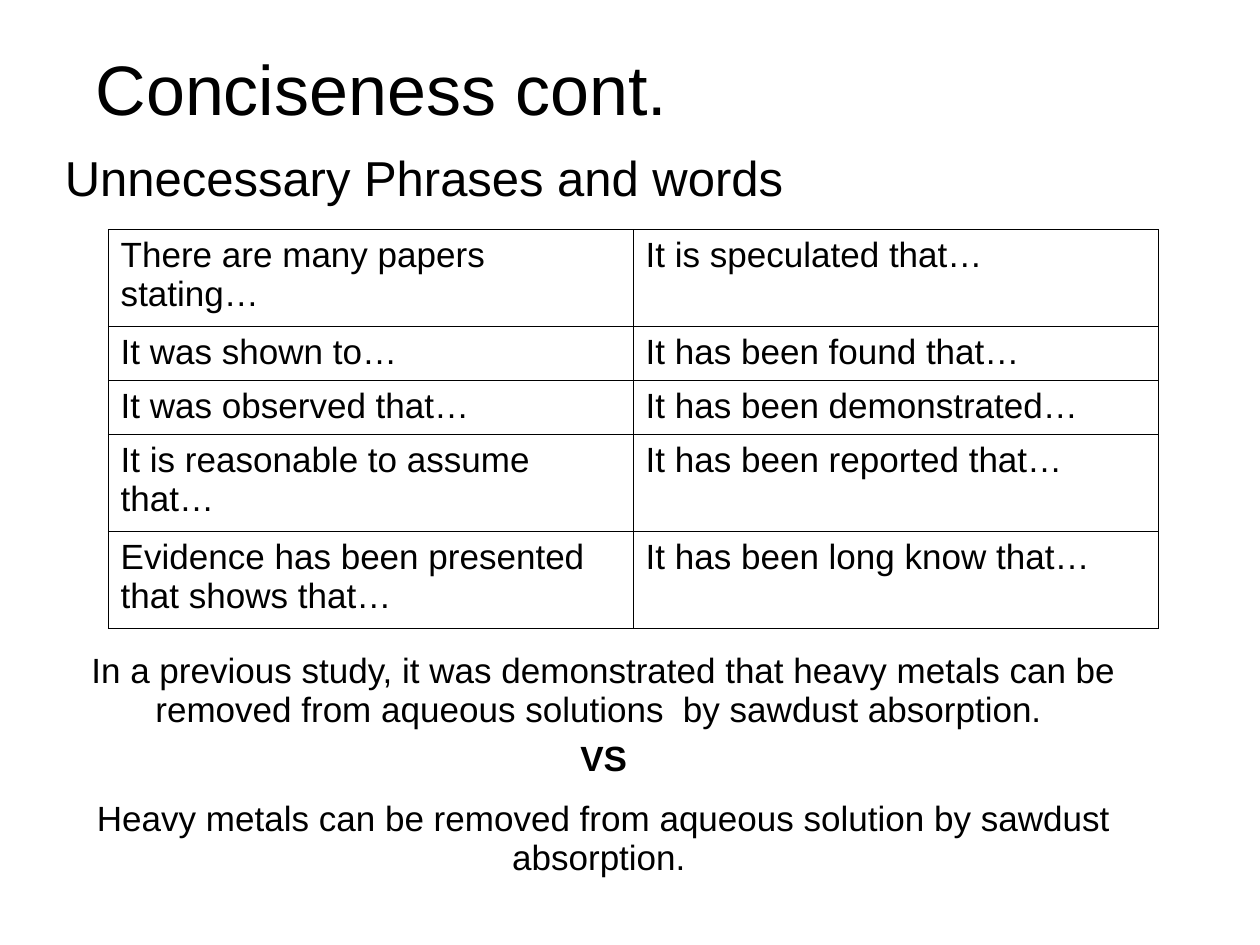
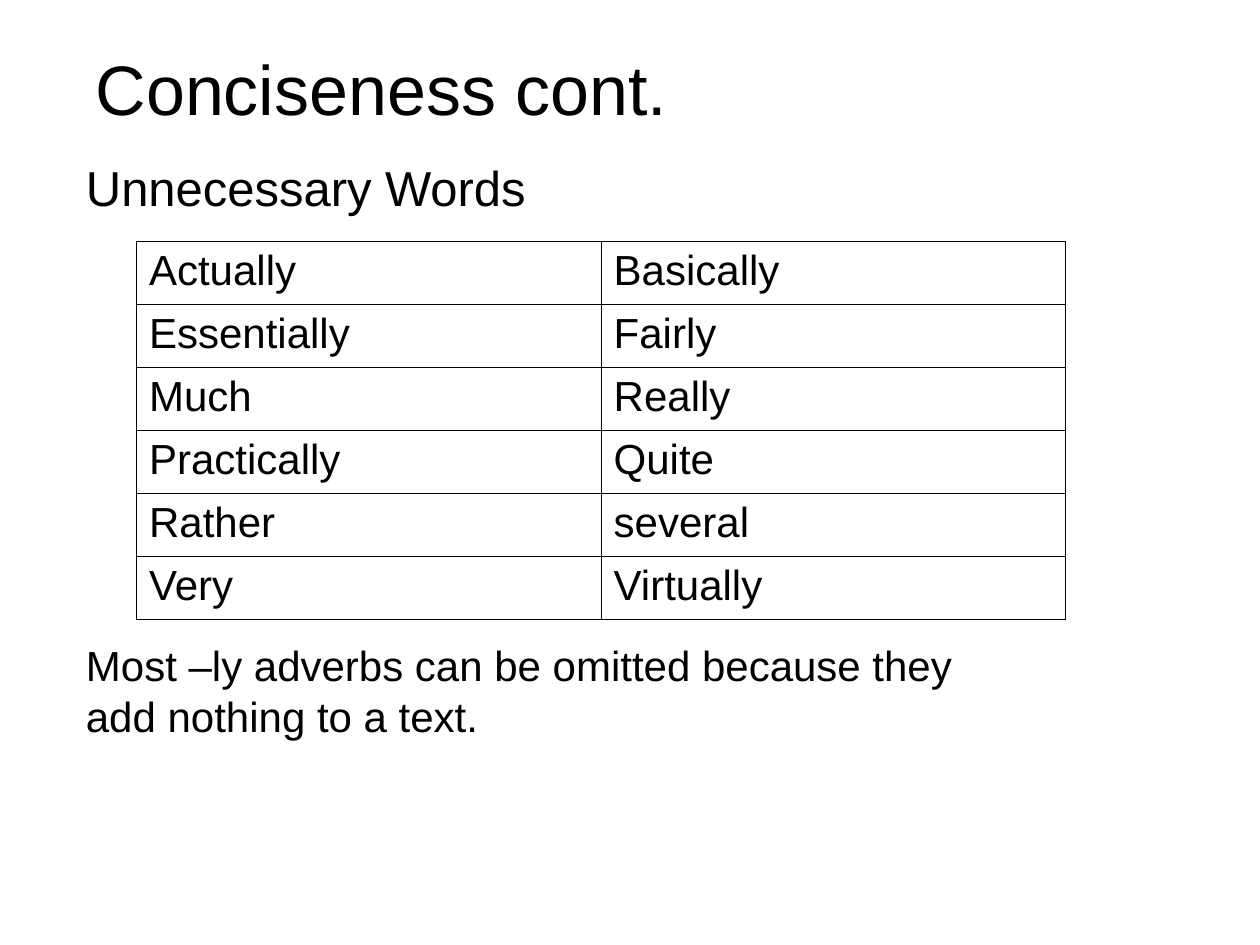
"""Builds two slides on concise writing, with tables of phrases to avoid."""
import lxml.etree
import pptx
import pptx.dml.color
import pptx.enum.text
import pptx.oxml.ns
import pptx.util

ALIGN = pptx.enum.text.PP_ALIGN
BLACK = "000000"


def color(hex_code):
    return pptx.dml.color.RGBColor.from_string(hex_code)


def write(paragraph, text, size=20, bold=False, align=ALIGN.LEFT, after=0):
    paragraph.text = text
    paragraph.alignment = align
    paragraph.space_before = pptx.util.Pt(0)
    paragraph.space_after = pptx.util.Pt(after)
    font = paragraph.font
    font.name = "Arial"
    font.size = pptx.util.Pt(size)
    font.bold = bold
    font.color.rgb = color(BLACK)


class Deck:
    columns, rows = 24, 18
    border_width = 0.45

    def __init__(self):
        self.presentation = pptx.Presentation()
        self.presentation.slide_width = pptx.util.Inches(10)
        self.presentation.slide_height = pptx.util.Inches(7.5)
        self.slide = None

    def across(self, count):
        return round(self.presentation.slide_width * count / self.columns)

    def down(self, count):
        return round(self.presentation.slide_height * count / self.rows)

    def area(self, left, top, width, height):
        return self.across(left), self.down(top), self.across(width), self.down(height)

    def fill_frame(self, frame, text, **style):
        frame.word_wrap = True
        frame.auto_size = pptx.enum.text.MSO_AUTO_SIZE.NONE
        frame.vertical_anchor = pptx.enum.text.MSO_ANCHOR.TOP
        write(frame.paragraphs[0], text, **style)

    def add_slide(self, heading):
        layout = self.presentation.slide_layouts[5]
        self.slide = self.presentation.slides.add_slide(layout)
        title = self.slide.shapes.title
        title.left, title.top, title.width, title.height = self.area(0.4, 0.75, 13.73, 1.85)
        self.fill_frame(title.text_frame, heading, size=40, align=ALIGN.CENTER)

    def add_text(self, text, left, top, width, height, **style):
        box = self.slide.shapes.add_textbox(*self.area(left, top, width, height))
        self.fill_frame(box.text_frame, text, **style)

    def set_borders(self, cell, ruled):
        properties = cell._tc.get_or_add_tcPr()
        qn = pptx.oxml.ns.qn
        for side in ("a:lnL", "a:lnR", "a:lnT", "a:lnB"):
            line = lxml.etree.SubElement(properties, qn(side))
            if ruled:
                line.set("w", str(pptx.util.Pt(self.border_width)))
                paint = lxml.etree.SubElement(line, qn("a:solidFill"))
                lxml.etree.SubElement(paint, qn("a:srgbClr")).set("val", BLACK)
            else:
                lxml.etree.SubElement(line, qn("a:noFill"))

    def add_table(self, entries, left, top, width, heights, ruled=True, **style):
        count = len(entries[0])
        frame = self.slide.shapes.add_table(
            len(entries), count, *self.area(left, top, width, sum(heights)))
        table = frame.table
        table.first_row = table.horz_banding = False
        for column in table.columns:
            column.width = self.across(width / count)
        for row, height, texts in zip(table.rows, heights, entries):
            row.height = self.down(height)
            for cell, text in zip(row.cells, texts):
                self.set_borders(cell, ruled)
                cell.fill.background()
                write(cell.text_frame.paragraphs[0], text, **style)
        return table


def build_phrases(deck):
    deck.add_slide("Conciseness cont.")
    deck.add_text("Unnecessary Phrases and words", 1, 2.7, 20, 1.37, size=28)
    phrases = [
        ("There are many papers stating…", "It is speculated that…"),
        ("It was shown to…", "It has been found that…"),
        ("It was observed that…", "It has been demonstrated…"),
        ("It is reasonable to assume that…", "It has been reported that…"),
        ("Evidence has been presented that shows that…", "It has been long know that…"),
    ]
    one_line, two_lines = 1.03, 1.85
    deck.add_table(phrases, 2.06, 4.37, 20,
                   [two_lines, one_line, one_line, two_lines, two_lines])
    wordy = ("In a previous study, it was demonstrated that heavy metals can be "
             "removed from aqueous solutions  by sawdust absorption. ")
    concise = "Heavy metals can be removed from aqueous solution by sawdust absorption. "
    comparison = deck.add_table([(wordy,), (concise,)], 1, 12.29, 21, [2.83, two_lines],
                                ruled=False, align=ALIGN.CENTER)
    wordy_frame = comparison.cell(0, 0).text_frame
    wordy_frame.paragraphs[0].space_after = pptx.util.Pt(6)
    write(wordy_frame.add_paragraph(), "VS", bold=True, align=ALIGN.CENTER, after=6)


def build_words(deck):
    deck.add_slide("Conciseness cont.")
    deck.add_text("Unnecessary Words", 1.4, 2.88, 20, 1.37, size=28)
    words = [
        ("Actually", "Basically"),
        ("Essentially", "Fairly"),
        ("Much", "Really"),
        ("Practically", "Quite"),
        ("Rather", "several"),
        ("Very", "Virtually"),
    ]
    deck.add_table(words, 2.6, 4.6, 17.7, [1.2] * len(words), size=24)
    deck.add_text("Most –ly adverbs can be omitted because they add nothing to a text.",
                  1.4, 12.07, 17.7, 2.16, size=24)


def main():
    deck = Deck()
    build_phrases(deck)
    build_words(deck)
    deck.presentation.save("out.pptx")


if __name__ == "__main__":
    main()
